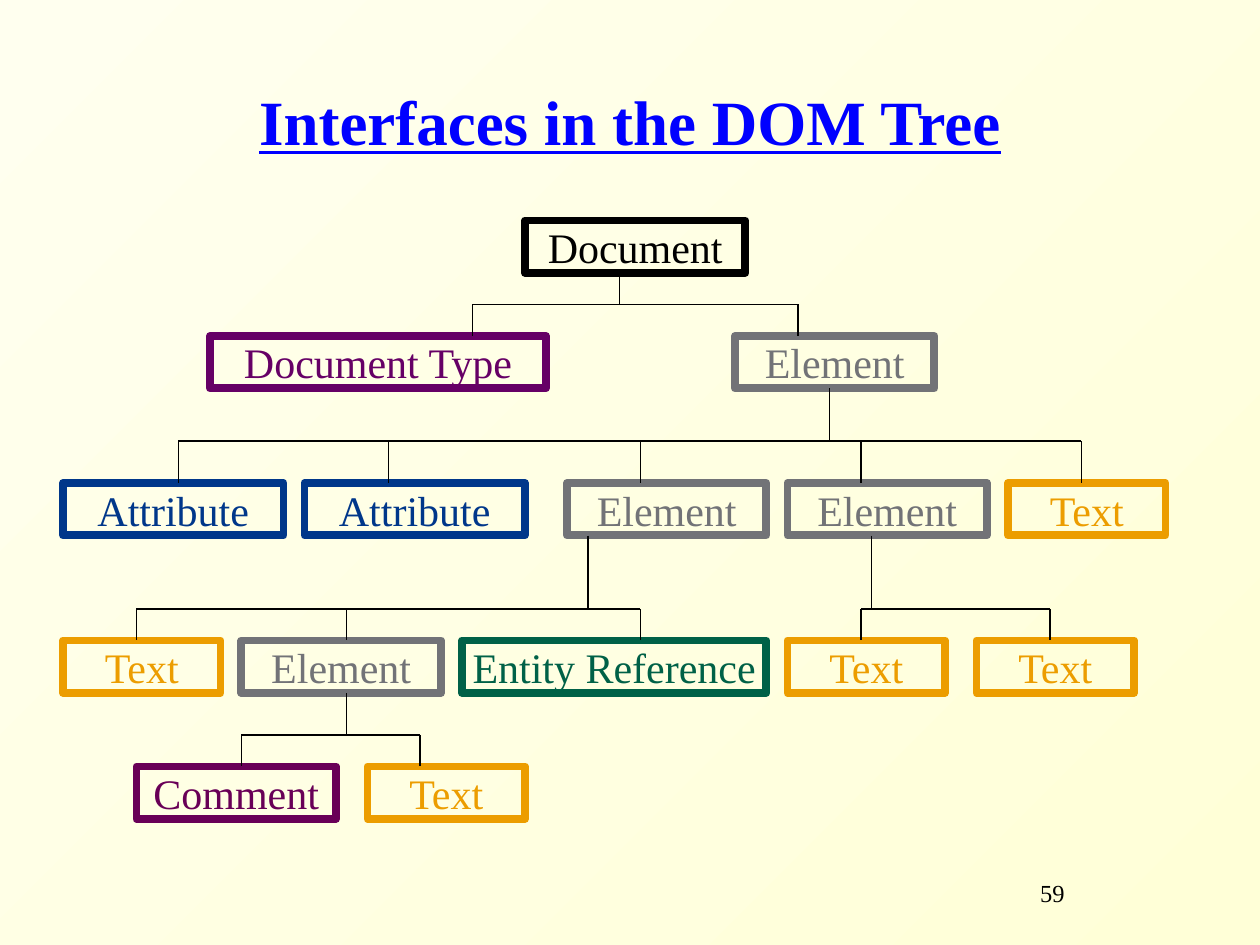
import pptx
import pptx.util
import pptx.dml.color
import pptx.enum.shapes
import pptx.enum.text
import pptx.oxml.ns
import lxml.etree

COLUMNS, ROWS = 120, 90
BOX_ROWS = 5
COLORS = {
    "Title": "0000FF",
    "Ink": "000000",
    "Dark paper": "FFFFD7",
    "Light paper": "FFFFEF",
    "Document": "000000",
    "Document Type": "660066",
    "Element": "727377",
    "Attribute": "00378A",
    "Text": "EC9D00",
    "Entity Reference": "006147",
    "Comment": "690057",
}
RGB = {part: pptx.dml.color.RGBColor.from_string(code) for part, code in COLORS.items()}
NODE_COLUMNS = {
    "Document": 21, "Document Type": 32, "Element": 19, "Attribute": 21,
    "Text": 15, "Entity Reference": 29, "Comment": 19,
}
CENTER = pptx.enum.text.PP_ALIGN.CENTER
MIDDLE = pptx.enum.text.MSO_ANCHOR.MIDDLE
TOP = pptx.enum.text.MSO_ANCHOR.TOP

deck = pptx.Presentation()
deck.slide_width = pptx.util.Inches(10)
deck.slide_height = pptx.util.Inches(7.5)
slide = deck.slides.add_slide(deck.slide_layouts[6])


def grid(*lengths):
    """Turn alternating columns and rows into slide lengths."""
    sides = (deck.slide_width / COLUMNS, deck.slide_height / ROWS)
    return [round(length * sides[i % 2]) for i, length in enumerate(lengths)]


def write(holder, wording, color, frame_format, paragraph_format, font_format):
    frame = holder.text_frame
    paragraph = frame.paragraphs[0]
    run = paragraph.add_run()
    run.text = wording
    run.font.color.rgb = RGB[color]
    font_format = {"name": "Times New Roman", **font_format}
    for target, values in ((frame, frame_format), (paragraph, paragraph_format),
                           (run.font, font_format)):
        for attribute, value in values.items():
            setattr(target, attribute, value)
    return paragraph


paper = slide.background.fill
paper.gradient()
paper.gradient_angle = 135
for stop, shade in zip(paper.gradient_stops, ("Dark paper", "Light paper")):
    stop.color.rgb = RGB[shade]

heading = slide.shapes.add_textbox(*grid(9, 7, 102, 10))
write(heading, "Interfaces in the DOM Tree", "Title",
      {"word_wrap": True, "vertical_anchor": MIDDLE},
      {"alignment": CENTER, "line_spacing": 0.85},
      {"size": pptx.util.Pt(36), "bold": True, "underline": True})

# Each level of the tree: its row, then the left column of every node.
levels = [
    (21, [("Document", 50)]),
    (32, [("Document Type", 20), ("Element", 70)]),
    (46, [("Attribute", 6), ("Attribute", 29), ("Element", 54), ("Element", 75),
          ("Text", 96)]),
    (61, [("Text", 6), ("Element", 23), ("Entity Reference", 44), ("Text", 75),
          ("Text", 93)]),
    (73, [("Comment", 13), ("Text", 35)]),
]
for row, nodes in levels:
    for interface, column in nodes:
        node = slide.shapes.add_shape(
            pptx.enum.shapes.MSO_SHAPE.RECTANGLE,
            *grid(column, row, NODE_COLUMNS[interface], BOX_ROWS))
        node.shadow.inherit = False
        node.fill.background()
        node.line.color.rgb = RGB[interface]
        node.line.width = pptx.util.Pt(4.5)
        write(node, interface, interface,
              {"word_wrap": False, "vertical_anchor": MIDDLE},
              {"alignment": CENTER}, {"size": pptx.util.Pt(24)})

# Each branch: parent level, stem column, bar row, columns of the drops to children.
branches = [
    (0, 59, 29, [45, 76]),
    (1, 79, 42, [17, 37, 61, 82, 103]),
    (2, 56, 58, [13, 33, 61]),
    (2, 83, 58, [82, 100]),
    (3, 33, 70, [23, 40]),
]
for parent, stem, bar, drops in branches:
    parent_bottom = levels[parent][0] + BOX_ROWS
    child_top = levels[parent + 1][0]
    lines = [(drops[0], bar, drops[-1], bar), (stem, parent_bottom, stem, bar)]
    lines += [(drop, bar, drop, child_top) for drop in drops]
    for ends in lines:
        link = slide.shapes.add_connector(
            pptx.enum.shapes.MSO_CONNECTOR.STRAIGHT, *grid(*ends))
        link.line.color.rgb = RGB["Ink"]
        link.line.width = pptx.util.Pt(0.75)
        lxml.etree.SubElement(link._element.spPr, pptx.oxml.ns.qn("a:effectLst"))

page_number = slide.shapes.add_textbox(*grid(95, 83, 25, 6))
number_line = write(page_number, "59", "Ink",
                    {"word_wrap": True, "vertical_anchor": TOP},
                    {}, {"size": pptx.util.Pt(14)})
number_line._p.get_or_add_pPr().set("marL", str(pptx.util.Inches(0.24)))

deck.save("out.pptx")
